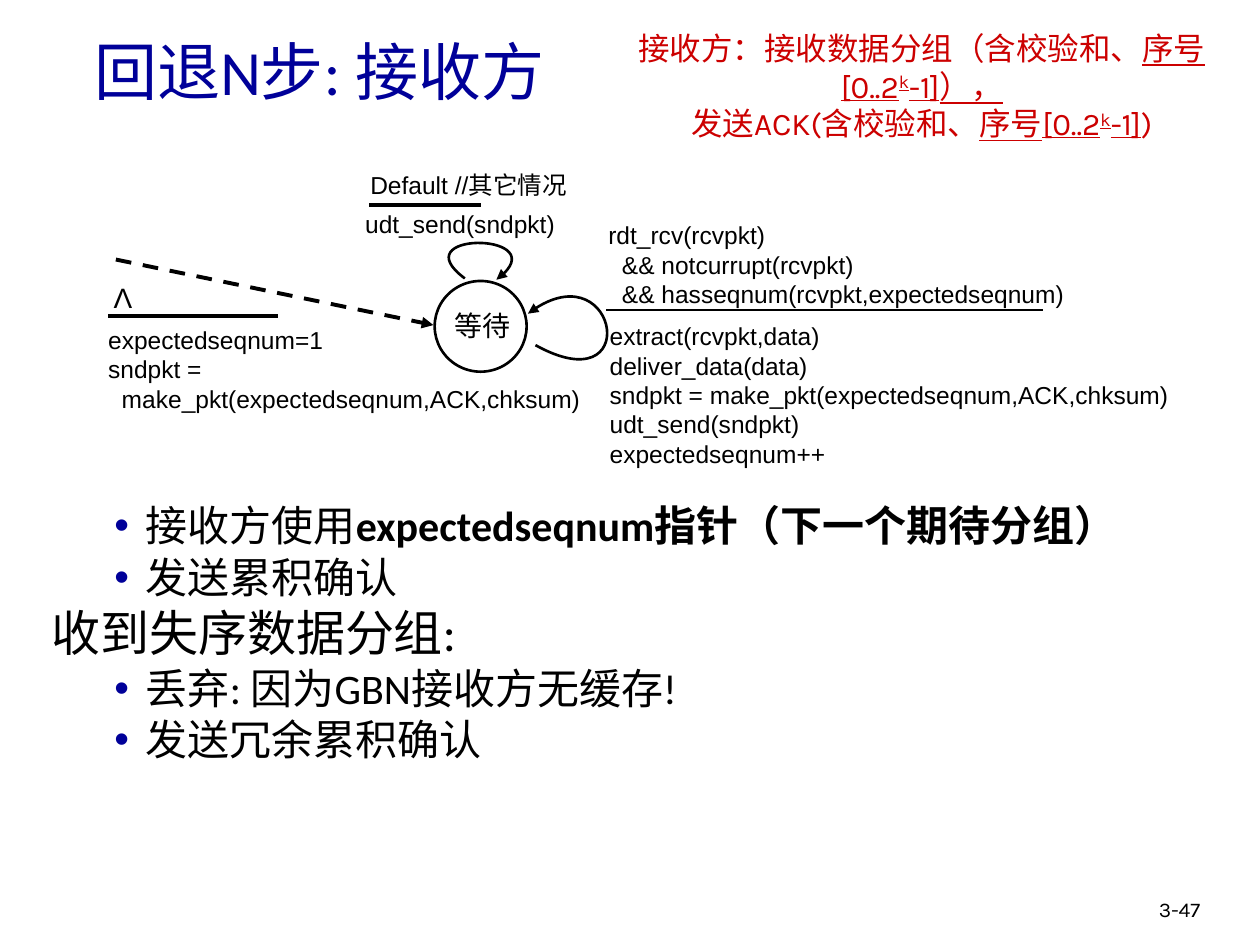
from lxml import etree
from pptx import Presentation, util as u
from pptx.dml.color import RGBColor
from pptx.enum import dml, shapes, text
from pptx.oxml import ns

# The slide is a grid of square cells
COLS, ROWS = 100, 75
CELL = u.Inches(0.1)
BLACK, WHITE, NAVY, RED = "000000", "FFFFFF", "000099", "CC0000"


def grid(*vals):
    return [round(v * CELL) for v in vals]


def paint(fmt, hue):
    """Give a fill, or a font's or line's fill, one solid colour."""
    fmt.solid()
    fmt.fore_color.rgb = RGBColor.from_string(hue)


def child(node, tag, **attrs):
    return etree.SubElement(node, ns.qn("a:" + tag), attrs)


def style(font, face, size, hue):
    font.name, font.size = face, u.Pt(size)
    paint(font.fill, hue)


def add_run(para, words, marks=""):
    """Marks: b is bold, u underlined, s superscript."""
    run = para.add_run()
    run.text = words
    if "b" in marks:
        run.font.bold = True
    if "u" in marks:
        run.font.underline = True
    if "s" in marks:
        run.font._element.set("baseline", "30000")
    return run


def label(slide, at, lines, face="Arial", size=14, hue=BLACK,
          align=text.PP_ALIGN.LEFT, wrap=True):
    """Each line is a string or a list of (words, marks) runs."""
    box = slide.shapes.add_textbox(*grid(*at))
    frame = box.text_frame
    frame.word_wrap = wrap
    for i, line in enumerate(lines):
        para = frame.paragraphs[0] if i == 0 else frame.add_paragraph()
        para.alignment = align
        style(para.font, face, size, hue)
        for part in [(line,)] if isinstance(line, str) else line:
            add_run(para, *part)
    return frame


def points(slide, at, items):
    """Each item is (size, bulleted, runs)."""
    frame = slide.shapes.add_textbox(*grid(*at)).text_frame
    frame.word_wrap = True
    for i, (size, dot, runs) in enumerate(items):
        para = frame.paragraphs[0] if i == 0 else frame.add_paragraph()
        if dot:
            props = para._p.get_or_add_pPr()
            props.set("marL", str(u.Inches(0.75)))
            props.set("indent", str(u.Inches(-0.25)))
            child(child(props, "buClr"), "srgbClr", val=NAVY)
            child(props, "buFont", typeface="Arial")
            child(props, "buChar", char="•")
        para.line_spacing = 0.85
        if i:
            para.space_before = u.Pt(size * 0.2)
        style(para.font, "Calibri", size, BLACK)
        for part in runs:
            add_run(para, *part)


def stroke(shape, width, arrow=False):
    paint(shape.line.fill, BLACK)
    shape.line.width = u.Pt(width)
    if arrow:
        child(shape.line._get_or_add_ln(), "tailEnd", type="triangle")


def rule(slide, start, end, width=2.25, dash=False):
    line = slide.shapes.add_connector(
        shapes.MSO_CONNECTOR.STRAIGHT, *grid(*start, *end))
    if dash:
        line.line.dash_style = dml.MSO_LINE.DASH
    stroke(line, width, arrow=dash)
    child(line._element.spPr, "effectLst")


def loop(slide, start, *rest):
    """Curved arrow: a cubic from start through two handles to its end."""
    pen = slide.shapes.build_freeform(*grid(*start))
    pen.add_line_segments([grid(*p) for p in rest], close=False)
    arc = pen.convert_to_shape()
    arc.shadow.inherit = False
    arc.fill.background()
    stroke(arc, 1.5, arrow=True)
    track = next(arc._element.iter(ns.qn("a:path")))
    curve = child(track, "cubicBezTo")
    for seg in track.findall(ns.qn("a:lnTo")):
        curve.append(seg[0])
        track.remove(seg)


def state(slide, at):
    ring = slide.shapes.add_shape(shapes.MSO_SHAPE.OVAL, *grid(*at))
    ring.shadow.inherit = False
    paint(ring.fill, WHITE)
    stroke(ring, 1.5)


def machine(slide):
    mid = text.PP_ALIGN.CENTER
    # Waiting state
    state(slide, (34.5, 22.3, 7.3, 7.2))
    label(slide, (33.9, 24, 8.8, 2.6), ["等待"], size=16, align=mid)

    # Start
    rule(slide, (9.2, 20.6), (34.4, 25.8), dash=True)
    label(slide, (8, 21.8, 3.5, 3.7), ["Λ"], size=16, align=mid, wrap=False)
    rule(slide, (8.6, 25.1), (22.1, 25.1))
    label(slide, (7.6, 25.3, 39.8, 10.7), [
        "expectedseqnum=1", "sndpkt =",
        "  make_pkt(expectedseqnum,ACK,chksum)"])

    # Default case
    other = label(slide, (28.4, 13, 31.9, 2.9),
                  [[("Default //",), ("其它情况",)]])
    other.paragraphs[0].runs[1].font.name = "Noto Sans CJK SC"
    rule(slide, (29.3, 16.3), (38.2, 16.3))
    label(slide, (28, 16.1, 17.7, 3.4), ["udt_send(sndpkt)"])
    loop(slide, (36.9, 22.1), (31.9, 18.4), (44.5, 18.4), (39.4, 22.2))

    # Packet in order
    loop(slide, (42.5, 27.4), (51, 32.1), (49, 19.5), (41.9, 24.9))
    label(slide, (47.3, 17, 39, 6.2), [
        "rdt_rcv(rcvpkt)", "  && notcurrupt(rcvpkt)",
        "  && hasseqnum(rcvpkt,expectedseqnum)"])
    rule(slide, (48.1, 24.6), (82.8, 24.6), 1.5)
    label(slide, (47.4, 25, 47.2, 9.4), [
        "extract(rcvpkt,data)", "deliver_data(data)",
        "sndpkt = make_pkt(expectedseqnum,ACK,chksum)",
        "udt_send(sndpkt)", "expectedseqnum++"])


def main():
    deck = Presentation()
    deck.slide_width, deck.slide_height = grid(COLS, ROWS)
    slide = deck.slides.add_slide(deck.slide_layouts[6])

    # Page number and notes
    label(slide, (91, 70.7, 7.4, 3), ["3-47"], "Karla", 12)
    points(slide, (3.1, 39.8, 96.9, 31.2), [
        (24, True, [("接收方使用",),
                    ("expectedseqnum指针（下一个期待分组）", "b")]),
        (24, True, [("发送累积确认",)]),
        (28, False, [("收到失序数据分组:",)]),
        (24, True, [("丢弃: 因为GBN接收方无缓存!",)]),
        (24, True, [("发送冗余累积确认",)])])

    machine(slide)

    # Title and summary
    title = label(slide, (6.5, 0.4, 85, 10.4), ["回退N步: 接收方"],
                  "Calibri", 36, NAVY)
    title.vertical_anchor = text.MSO_ANCHOR.MIDDLE
    seq = [("序号[0..2", "u"), ("k", "us")]
    label(slide, (45.1, 1.8, 56.1, 7.1), [
        [("接收方：接收数据分组（含校验和、",), *seq, ("-1]），", "u")],
        [("发送ACK(含校验和、",), *seq, ("-1]", "u"), (")",)]],
        "Karla", 18, RED, text.PP_ALIGN.CENTER)

    deck.save("out.pptx")


if __name__ == "__main__":
    main()
